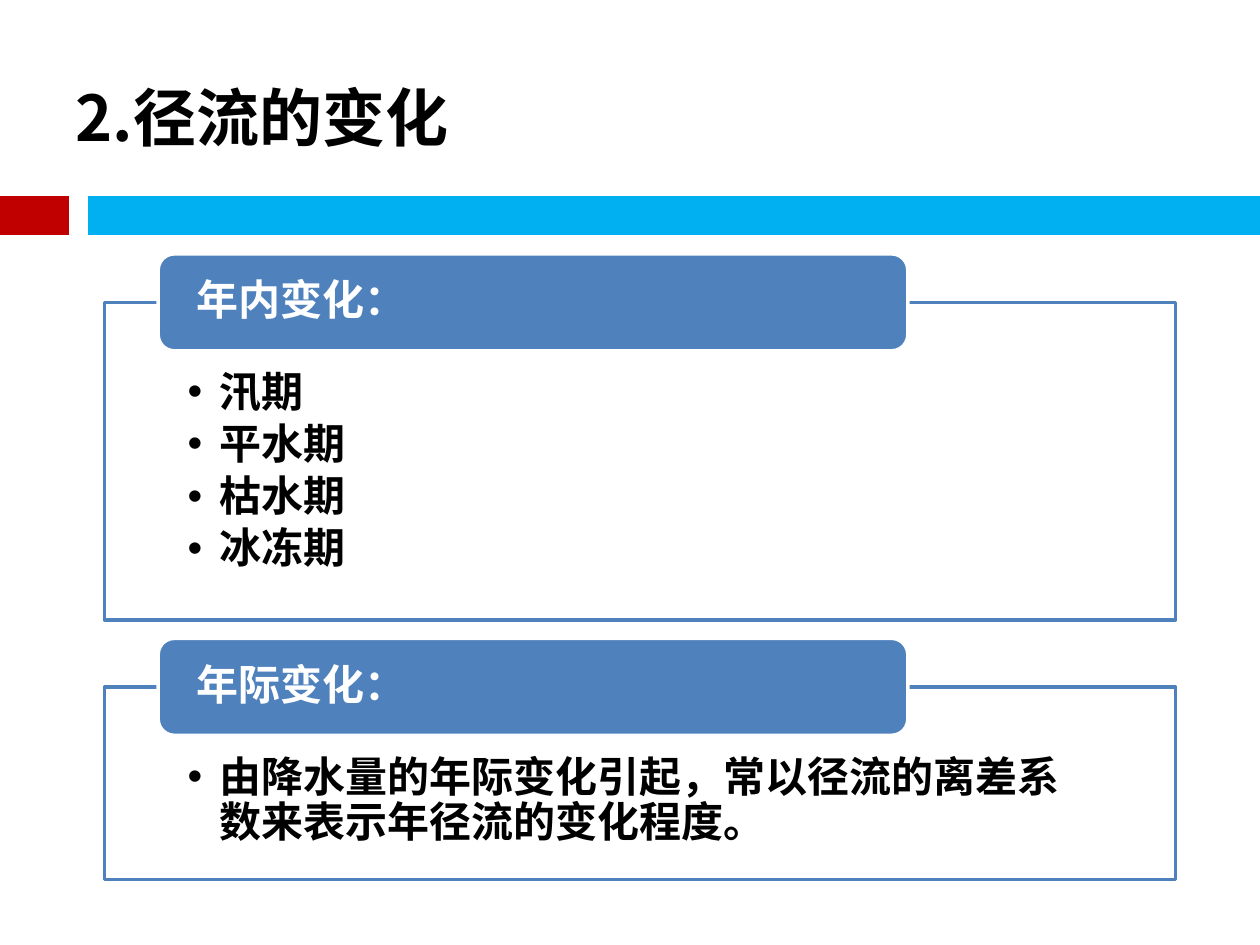
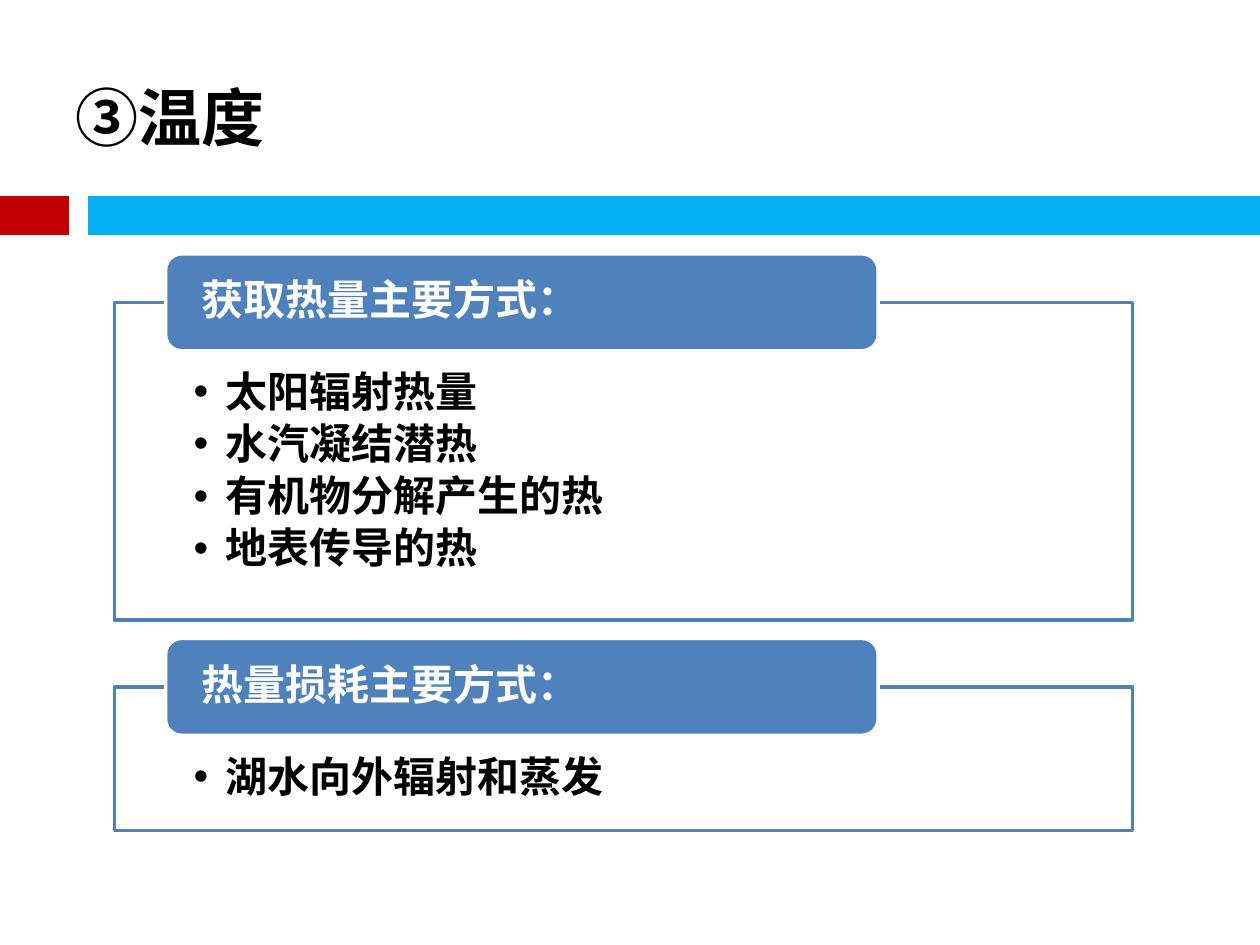
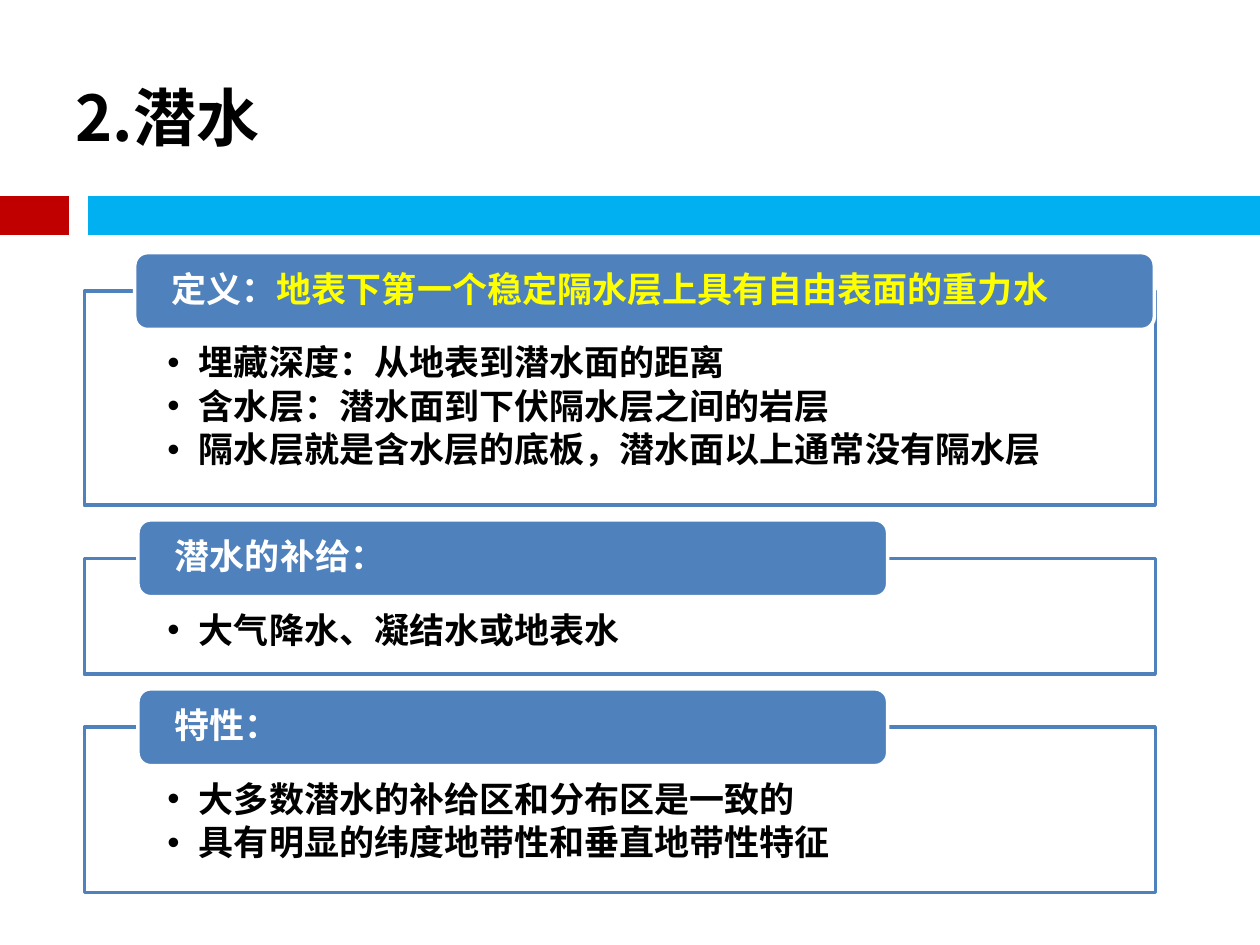
import pptx
import pptx.dml.color
import pptx.enum.shapes
import pptx.enum.text
import pptx.oxml.ns
import pptx.util
from lxml import etree

RGBColor = pptx.dml.color.RGBColor
RED = RGBColor(0xC0, 0x00, 0x00)
SKY = RGBColor(0x00, 0xB0, 0xF0)
BLUE = RGBColor(0x4F, 0x81, 0xBD)
WHITE = RGBColor(0xFF, 0xFF, 0xFF)
BLACK = RGBColor(0x00, 0x00, 0x00)
YELLOW = RGBColor(0xFF, 0xFF, 0x00)

CHINESE_FONT = "Noto Sans CJK SC"
LATIN_FONT = "Calibri"
TITLE_ONLY = 5

# The slide is a grid of 100 columns by 100 rows
SLIDE_WIDTH = pptx.util.Inches(10)
SLIDE_HEIGHT = pptx.util.Inches(7.5)


def columns(count):
    return round(SLIDE_WIDTH * count / 100)


def rows(count):
    return round(SLIDE_HEIGHT * count / 100)


def add_child(parent, tag, **attributes):
    return etree.SubElement(parent, pptx.oxml.ns.qn(tag), attributes)


def style_span(span, size, color, latin=LATIN_FONT):
    span.font.name = latin
    span.font.size = pptx.util.Pt(size)
    span.font.bold = True
    span.font.color.rgb = color
    add_child(span.font.latin_parent if hasattr(span.font, "latin_parent")
              else span._r.get_or_add_rPr(), "a:ea", typeface=CHINESE_FONT)


def add_bands(page):
    """Red and sky-blue bands under the title."""
    for start, end, color in ((0, 5.5, RED), (7, 100, SKY)):
        band = page.shapes.add_connector(
            pptx.enum.shapes.MSO_CONNECTOR.STRAIGHT,
            columns(start), rows(22.8), columns(end), rows(22.8))
        band.line.color.rgb = color
        band.line.width = pptx.util.Pt(22)
        add_child(band.element.spPr, "a:effectLst")


def set_title(page, text):
    title = page.shapes.title
    title.left, title.top = columns(5), rows(4)
    title.width, title.height = columns(90), rows(16.67)
    title.text_frame.text = text
    title.text_frame.vertical_anchor = pptx.enum.text.MSO_ANCHOR.MIDDLE
    para = title.text_frame.paragraphs[0]
    para.alignment = pptx.enum.text.PP_ALIGN.LEFT
    style_span(para.runs[0], 36, BLACK, CHINESE_FONT)


def add_panel(page, kind, box, fill, line, side_inset):
    """Outlined shape with left-aligned, wrapping text."""
    panel = page.shapes.add_shape(kind, *box)
    panel.shadow.inherit = False
    panel.fill.solid()
    panel.fill.fore_color.rgb = fill
    panel.line.color.rgb = line
    panel.line.width = pptx.util.Pt(2)
    frame = panel.text_frame
    frame.word_wrap = True
    frame.margin_left = frame.margin_right = round(side_inset)
    frame.margin_top = frame.margin_bottom = 0
    return panel


def add_list(page, box, header_height, items, size):
    """Framed bullet list that leaves room for the header on its top edge."""
    panel = add_panel(page, pptx.enum.shapes.MSO_SHAPE.RECTANGLE, box,
                      WHITE, BLUE, box[2] * 0.0776)
    color = panel.element.spPr.find(".//" + pptx.oxml.ns.qn("a:srgbClr"))
    add_child(color, "a:alpha", val="90000")
    frame = panel.text_frame
    frame.vertical_anchor = pptx.enum.text.MSO_ANCHOR.TOP
    frame.margin_top = round(header_height * 0.71)
    frame.margin_bottom = round(header_height * 0.25)
    frame.text = "\n".join(items)
    hanging = pptx.util.Inches(0.25)
    for para in frame.paragraphs:
        para.alignment = pptx.enum.text.PP_ALIGN.LEFT
        para.line_spacing = 0.9
        para.space_after = pptx.util.Pt(size * 0.16)
        properties = para._p.get_or_add_pPr()
        properties.set("marL", str(hanging))
        properties.set("indent", str(-hanging))
        add_child(properties, "a:buFont", typeface="Arial")
        add_child(properties, "a:buChar", char="•")
        style_span(para.runs[0], size, BLACK)


def add_header(page, box, inset, spans, size):
    """Rounded header; any second span is highlighted."""
    panel = add_panel(page, pptx.enum.shapes.MSO_SHAPE.ROUNDED_RECTANGLE, box,
                      BLUE, WHITE, inset)
    panel.text_frame.vertical_anchor = pptx.enum.text.MSO_ANCHOR.MIDDLE
    para = panel.text_frame.paragraphs[0]
    para.alignment = pptx.enum.text.PP_ALIGN.LEFT
    para.line_spacing = 0.9
    for text, color in zip(spans, (WHITE, YELLOW)):
        span = para.add_run()
        span.text = text
        style_span(span, size, color)


def add_list_slide(deck, title, left, top, width, header_rows, size, sections):
    """Stack the sections downwards, each a framed list with its header."""
    page = deck.slides.add_slide(deck.slide_layouts[TITLE_ONLY])
    add_bands(page)
    set_title(page, title)
    left, top, width = columns(left), rows(top), columns(width)
    header_height = rows(header_rows)
    for spans, height, items in sections:
        box = (left, top, width, rows(height))
        add_list(page, box, header_height, items, size)
        # A header with a highlighted definition takes nearly the full width
        indent, share = (0.047, 0.952) if len(spans) > 1 else (0.05, 0.7)
        header_box = (left + round(width * indent), top - header_height // 2,
                      round(width * share), header_height)
        add_header(page, header_box, width * 0.031, spans, size)
        top += rows(height) + round(header_height * 0.69)


def main():
    deck = pptx.Presentation()
    deck.slide_width, deck.slide_height = SLIDE_WIDTH, SLIDE_HEIGHT

    add_list_slide(deck, "2.径流的变化", 8.3, 32, 85, 10.27, 24, [
        (["年内变化："], 33.6, ["汛期", "平水期", "枯水期", "冰冻期"]),
        (["年际变化："], 20.4,
         ["由降水量的年际变化引起，常以径流的离差系数来表示年径流的变化程度。"]),
    ])
    add_list_slide(deck, "③温度", 9.1, 32, 80.8, 10.27, 24, [
        (["获取热量主要方式："], 33.6,
         ["太阳辐射热量", "水汽凝结潜热", "有机物分解产生的热", "地表传导的热"]),
        (["热量损耗主要方式："], 15.2, ["湖水向外辐射和蒸发"]),
    ])
    add_list_slide(deck, "2.潜水", 6.7, 30.8, 85, 8.13, 20, [
        (["定义：", "地表下第一个稳定隔水层上具有自由表面的重力水"], 22.67,
         ["埋藏深度：从地表到潜水面的距离",
          "含水层：潜水面到下伏隔水层之间的岩层",
          "隔水层就是含水层的底板，潜水面以上通常没有隔水层"]),
        (["潜水的补给："], 12.27, ["大气降水、凝结水或地表水"]),
        (["特性："], 17.47,
         ["大多数潜水的补给区和分布区是一致的",
          "具有明显的纬度地带性和垂直地带性特征"]),
    ])
    deck.save("out.pptx")


if __name__ == "__main__":
    main()
